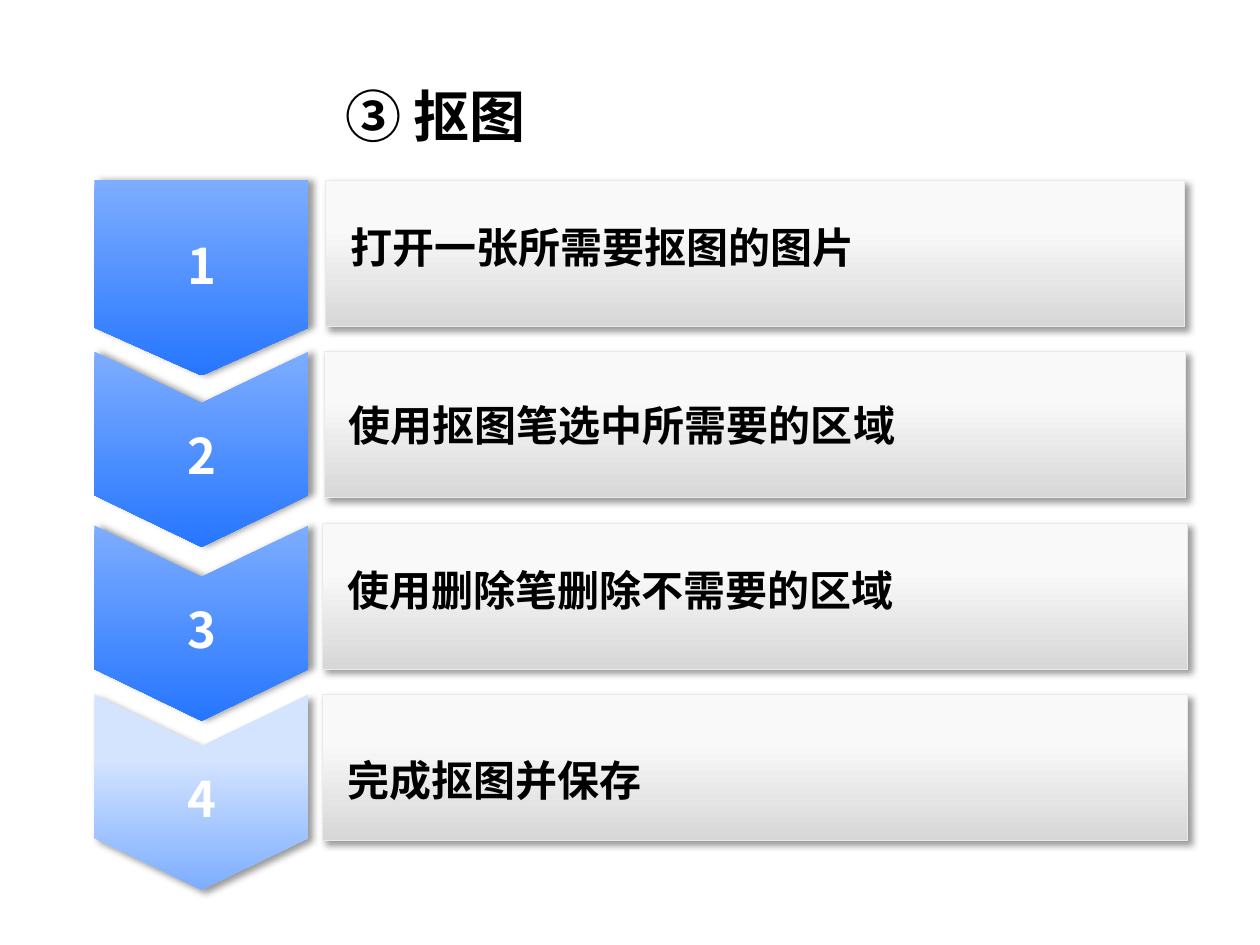
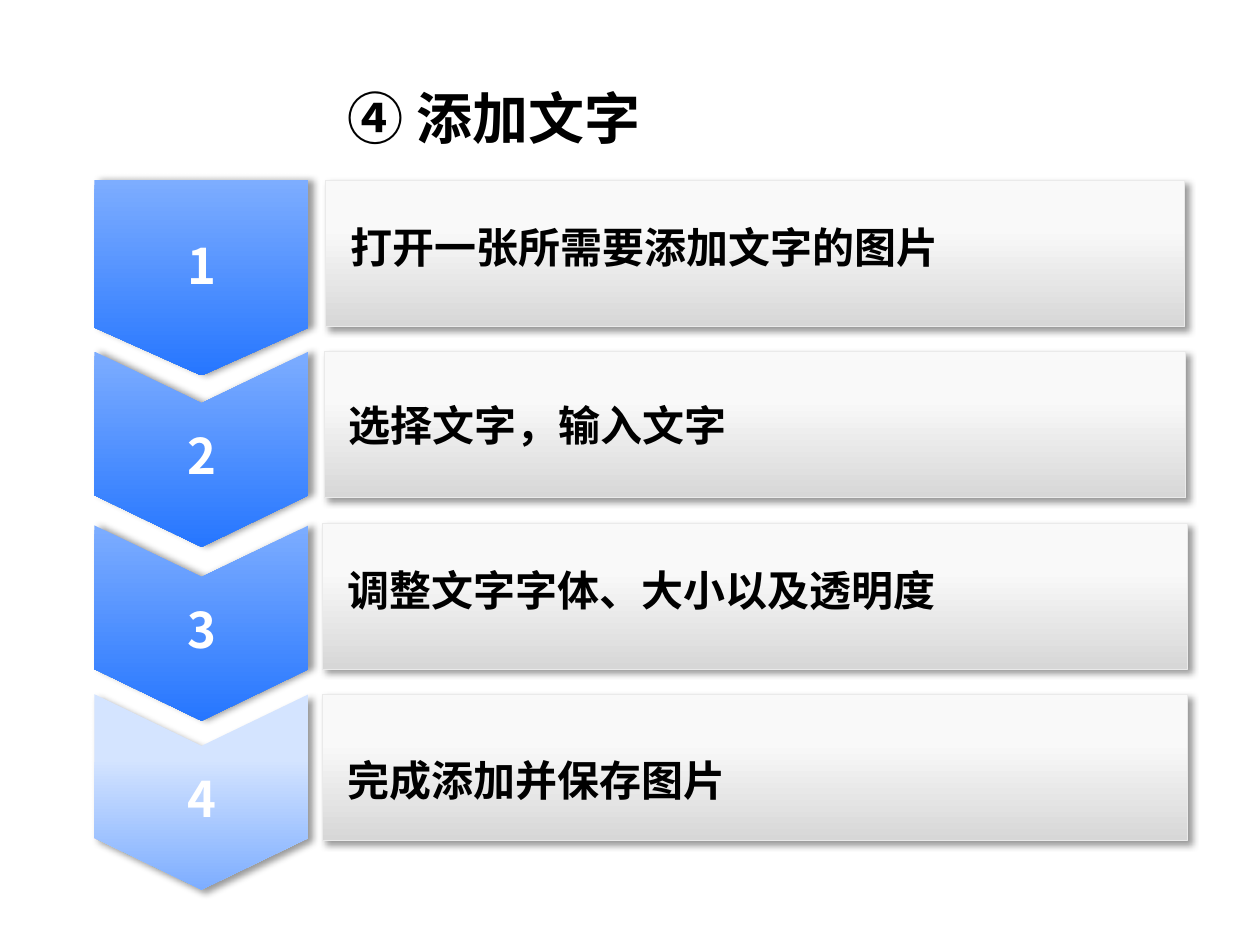
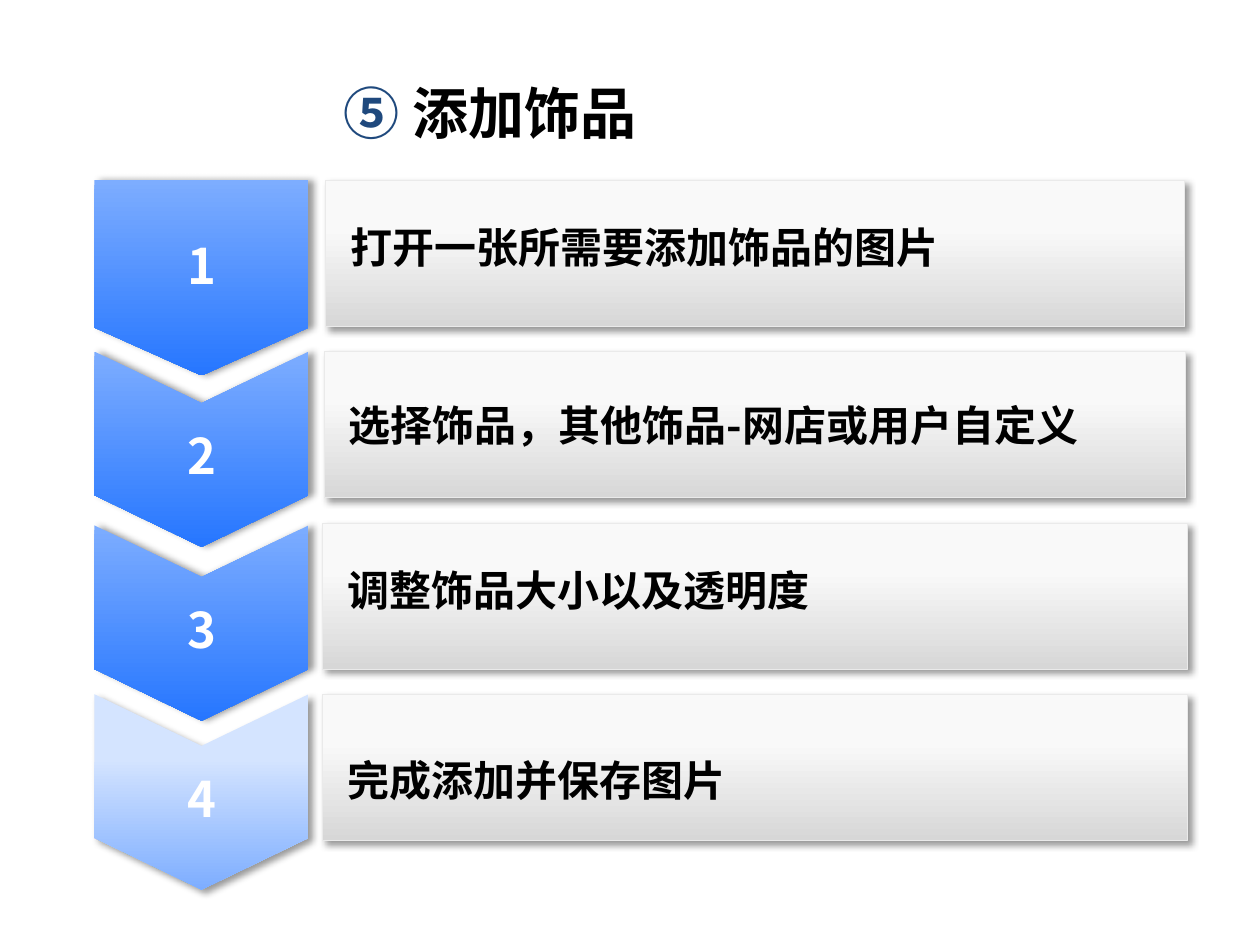
import dataclasses

import lxml.etree
import pptx
import pptx.dml.color
import pptx.enum.shapes
import pptx.enum.text
import pptx.oxml.ns
import pptx.util

Inches = pptx.util.Inches
FONT = "Noto Sans CJK SC"
BLACK, WHITE, NAVY = "000000", "FFFFFF", "1F497D"
BLUE = ((0, "7DADFF"), (1, "2676FF"))
PALE_BLUE = ((0.33, "D4E4FF"), (1, "7DADFF"))
GREY = ((0.33, "F9F9F9"), (1, "D7D7D7"))
BORDER = "EAEAEA"
DEFAULT_INSETS = (0.1, 0.05, 0.1, 0.05)
ARROW_LEFT, ARROW_WIDTH, ARROW_HEIGHT = 0.75, 1.7, 1.55
PANEL_HEIGHT, PANEL_CENTER = 1.16, 5.99
FIRST_TOP, PITCH = 1.43, 1.36


@dataclasses.dataclass
class StepStyle:
    """Look of one row: its panel, its arrow and their text."""

    panel_width: float
    panel_bottom_inset: float = 0.05
    line_spacing: float = 1.5
    arrow_drop: float = 0
    notch: float = 0.41
    tip: float = 0.41
    colors: tuple = BLUE
    shadow_angle: int = 0
    arrow_insets: tuple = DEFAULT_INSETS


STEP_STYLES = (
    StepStyle(6.82, 0.35, notch=0, tip=0.38, arrow_insets=(0.1, 0.05, 0.1, 0.35)),
    StepStyle(6.84, line_spacing=1),
    StepStyle(6.87, 0.35, arrow_drop=0.02),
    StepStyle(6.87, colors=PALE_BLUE, shadow_angle=45, arrow_insets=(0, 0.05, 0, 0.05)),
)

SLIDES = (
    ((2.64, 0.59, 2.33, 0.64), (("③ 抠图", BLACK),),
     ("打开一张所需要抠图的图片", "使用抠图笔选中所需要的区域",
      "使用删除笔删除不需要的区域", "完成抠图并保存")),
    ((2.66, 0.61, 3.68, 0.64), (("④ 添加文字", BLACK),),
     ("打开一张所需要添加文字的图片", "选择文字，输入文字",
      "调整文字字体、大小以及透明度", "完成添加并保存图片")),
    ((2.63, 0.57, 3.68, 0.64), (("⑤ ", NAVY), ("添加饰品", BLACK)),
     ("打开一张所需要添加饰品的图片", "选择饰品，其他饰品-网店或用户自定义",
      "调整饰品大小以及透明度", "完成添加并保存图片")),
)


def color(value):
    """Turn a hex string into a colour."""
    return pptx.dml.color.RGBColor.from_string(value)


def fill_gradient(shape, stops):
    """Fill a shape from top to bottom."""
    shape.fill.gradient()
    shape.fill.gradient_angle = 270
    for stop, (position, value) in zip(shape.fill.gradient_stops, stops):
        stop.position = position
        stop.color.rgb = color(value)


def add_shadow(shape, angle):
    """Give a shape a soft dark shadow towards the angle."""
    shape.shadow.inherit = False
    qualify = pptx.oxml.ns.qn
    effects = shape.element.spPr.find(qualify("a:effectLst"))
    shadow = lxml.etree.SubElement(
        effects, qualify("a:outerShdw"), blurRad=str(pptx.util.Pt(4)),
        dist=str(pptx.util.Pt(3)), dir=str(angle * 60000), algn="tl", rotWithShape="0")
    shade = lxml.etree.SubElement(shadow, qualify("a:srgbClr"), val=BLACK)
    lxml.etree.SubElement(shade, qualify("a:alpha"), val="40000")


def write_text(shape, runs, size, insets=DEFAULT_INSETS, line_spacing=1, centered=False):
    """Write one bold paragraph, run by run, in the middle of a shape."""
    frame = shape.text_frame
    frame.word_wrap = True
    frame.vertical_anchor = pptx.enum.text.MSO_ANCHOR.MIDDLE
    frame.margin_left, frame.margin_top, frame.margin_right, frame.margin_bottom = map(Inches, insets)
    paragraph = frame.paragraphs[0]
    alignment = pptx.enum.text.PP_ALIGN
    paragraph.alignment = alignment.CENTER if centered else alignment.LEFT
    paragraph.line_spacing = float(line_spacing)
    for text, value in runs:
        run = paragraph.add_run()
        run.text = text
        run.font.size = pptx.util.Pt(size)
        run.font.bold = True
        run.font.color.rgb = color(value)
        run.font.name = FONT
        lxml.etree.SubElement(run.font._element, pptx.oxml.ns.qn("a:ea"), typeface=FONT)


def add_panel(slide, top, style, text):
    """Add the grey panel that describes a step."""
    left = PANEL_CENTER - style.panel_width / 2
    box = map(Inches, (left, top, style.panel_width, PANEL_HEIGHT))
    panel = slide.shapes.add_shape(pptx.enum.shapes.MSO_SHAPE.RECTANGLE, *box)
    fill_gradient(panel, GREY)
    panel.line.color.rgb = color(BORDER)
    panel.line.width = pptx.util.Pt(0.25)
    add_shadow(panel, 45)
    insets = (0.2, 0.05, 0.1, style.panel_bottom_inset)
    write_text(panel, ((text, BLACK),), 24, insets, style.line_spacing)


def add_arrow(slide, top, style, number):
    """Add the numbered arrow that points down to the next step."""
    middle, shoulder = ARROW_WIDTH / 2, ARROW_HEIGHT - style.tip
    outline = ((0, 0), (middle, style.notch), (ARROW_WIDTH, 0),
               (ARROW_WIDTH, shoulder), (middle, ARROW_HEIGHT), (0, shoulder))
    points = [(Inches(ARROW_LEFT + x), Inches(top + y)) for x, y in outline]
    builder = slide.shapes.build_freeform(*points[0])
    builder.add_line_segments(points[1:], close=True)
    arrow = builder.convert_to_shape()
    fill_gradient(arrow, style.colors)
    arrow.line.fill.background()
    add_shadow(arrow, style.shadow_angle)
    write_text(arrow, ((str(number), WHITE),), 28, style.arrow_insets, 1.2, centered=True)


def add_title(slide, box, runs):
    """Add the slide title in its box."""
    title = slide.shapes.add_textbox(*map(Inches, box))
    write_text(title, runs, 32)


def add_steps_slide(presentation, title_box, title_runs, steps):
    """Add a slide with a title and a column of steps."""
    slide = presentation.slides.add_slide(presentation.slide_layouts[6])
    for index, (style, text) in enumerate(zip(STEP_STYLES, steps)):
        top = FIRST_TOP + index * PITCH
        add_panel(slide, top, style, text)
        add_arrow(slide, top + style.arrow_drop, style, index + 1)
    add_title(slide, title_box, title_runs)


def main():
    """Build the presentation and save it."""
    presentation = pptx.Presentation()
    presentation.slide_width = Inches(10)
    presentation.slide_height = Inches(7.5)
    for title_box, title_runs, steps in SLIDES:
        add_steps_slide(presentation, title_box, title_runs, steps)
    presentation.save("out.pptx")


if __name__ == "__main__":
    main()
